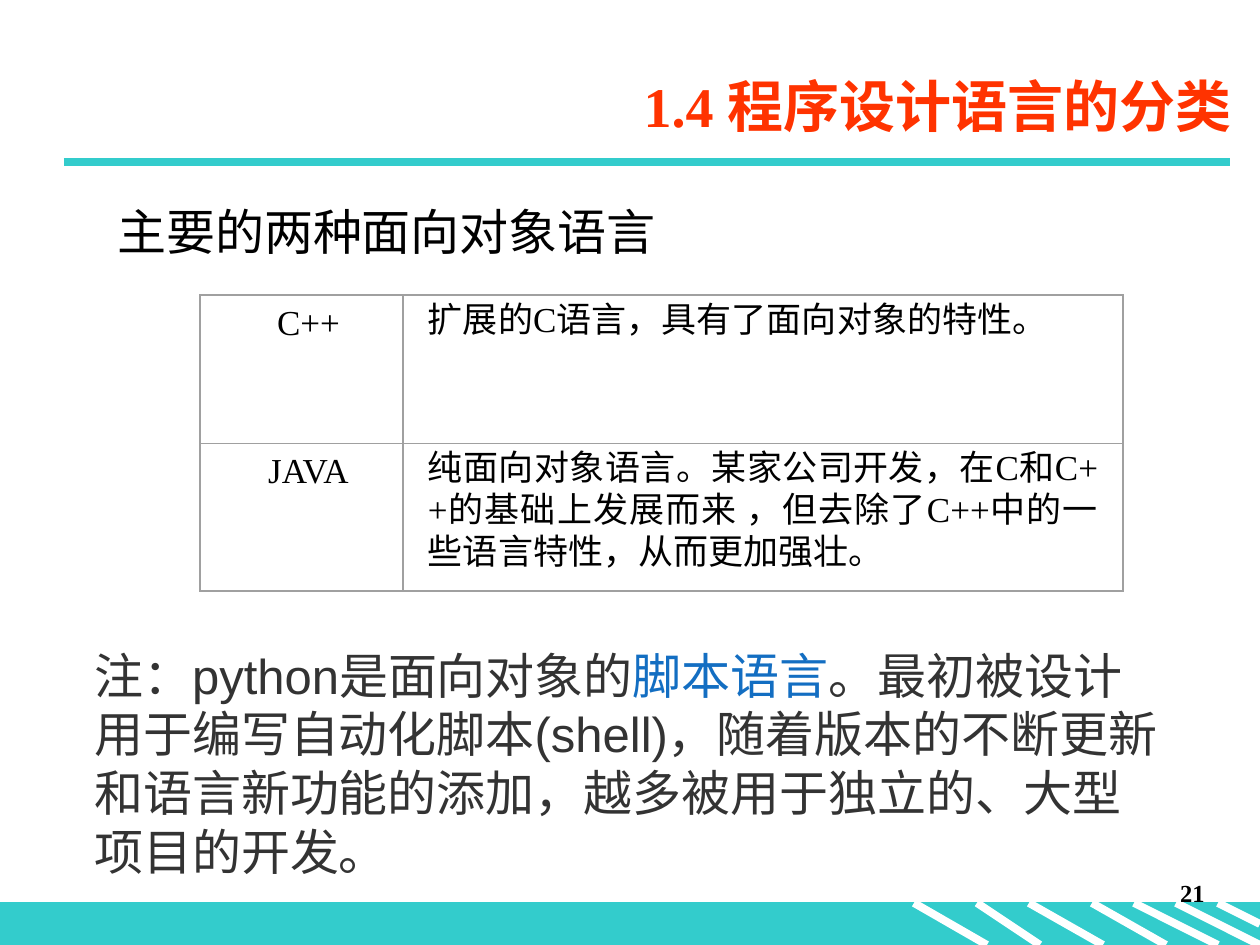
"""Build the slide on the two main object-oriented languages."""
from lxml.etree import SubElement
from pptx import Presentation
from pptx.dml.color import RGBColor
from pptx.enum.shapes import MSO_CONNECTOR as Connector, MSO_SHAPE as Shape
from pptx.enum.text import MSO_ANCHOR as Anchor, MSO_AUTO_SIZE as AutoSize, PP_ALIGN as Align
from pptx.oxml import parse_xml
from pptx.oxml.ns import nsdecls, qn
from pptx.util import Emu, Pt

SCALE = 914400 // 126
LATIN, SANS, CHINESE = "Times New Roman", "Arial", "Noto Sans CJK SC"
BLACK = RGBColor(0x00, 0x00, 0x00)
WHITE = RGBColor(0xFF, 0xFF, 0xFF)
TEAL = RGBColor(0x33, 0xCC, 0xCC)
ORANGE = RGBColor(0xFF, 0x33, 0x00)
DARK = RGBColor(0x33, 0x33, 0x33)
BLUE = RGBColor(0x13, 0x6E, 0xC2)
GRAY = RGBColor(0xA0, 0xA0, 0xA0)

TITLE = "1.4 程序设计语言的分类"
HEADING = "主要的两种面向对象语言"
LANGUAGES = [
    ("C++", "扩展的C语言，具有了面向对象的特性。"),
    ("JAVA", "纯面向对象语言。某家公司开发，在C和C++的基础上发展而来 ，"
             "但去除了C++中的一些语言特性，从而更加强壮。"),
]
NOTE = [
    ("注：python是面向对象的", DARK),
    ("脚本语言", BLUE),
    ("。最初被设计用于编写自动化脚本(shell)，随着版本的不断更新和语言新功能的添加，"
     "越多被用于独立的、大型项目的开发。", DARK),
]
STRIPES = [(914, 987, 945), (977, 1040, 945), (1029, 1103, 945), (1092, 1166, 945),
           (1134, 1218, 945), (1176, 1260, 945), (1218, 1260, 924)]


def px(value):
    return Emu(value * SCALE)


def write(paragraph, text, size=20, color=BLACK, font=LATIN, bold=False, align=Align.LEFT):
    """Append a formatted run to a paragraph."""
    paragraph.alignment = align
    paragraph.line_spacing = Pt(round(size * 1.2, 1))
    run = paragraph.add_run()
    run.text = text
    run.font.size, run.font.bold, run.font.name = Pt(size), bold, font
    run.font.color.rgb = color
    SubElement(run.font._element, qn("a:ea"), typeface=CHINESE)


class SlideBuilder:
    """Hold the current slide and the style of its elements."""

    def __init__(self, slide, accent=TEAL, border=GRAY):
        self.slide, self.accent, self.border = slide, accent, border

    def title(self, left, top, width, height, text):
        shape = self.slide.shapes.title
        shape.left, shape.top, shape.width, shape.height = map(px, (left, top, width, height))
        frame = shape.text_frame
        frame.auto_size, frame.vertical_anchor = AutoSize.NONE, Anchor.MIDDLE
        write(frame.paragraphs[0], text, size=32, color=ORANGE, bold=True, align=Align.RIGHT)

    def text(self, left, top, width, height, runs, **style):
        frame = self.slide.shapes.add_textbox(*map(px, (left, top, width, height))).text_frame
        frame.word_wrap = True
        for text, color in runs:
            write(frame.paragraphs[0], text, color=color, **style)

    def band(self, left, top, width, height):
        shape = self.slide.shapes.add_shape(Shape.RECTANGLE, *map(px, (left, top, width, height)))
        shape.shadow.inherit = False
        shape.fill.solid()
        shape.fill.fore_color.rgb = self.accent
        shape.line.color.rgb = self.accent
        shape.line.width = Pt(0.75)

    def line(self, x1, y1, x2, y2, color):
        line = self.slide.shapes.add_connector(Connector.STRAIGHT, *map(px, (x1, y1, x2, y2)))
        line.line.color.rgb = color
        line.line.width = Pt(4.5)
        SubElement(line._element.spPr, qn("a:effectLst"))

    def table(self, left, top, widths, row_height, rows):
        table = self.slide.shapes.add_table(
            len(rows), len(widths), px(left), px(top),
            px(sum(widths)), px(row_height * len(rows))).table
        table.first_row = table.horz_banding = False
        for column, width in zip(table.columns, widths):
            column.width = px(width)
        for index, (row, texts) in enumerate(zip(table.rows, rows)):
            row.height = px(row_height)
            top_width = 0.5 if index else 1
            bottom_width = 1 if index == len(rows) - 1 else 0.5
            name, description = row.cells
            self.cell(name, texts[0], 11, Align.CENTER, top_width, bottom_width)
            self.cell(description, texts[1], 25, Align.JUSTIFY, top_width, bottom_width)

    def cell(self, cell, text, right, align, top_width, bottom_width):
        cell.fill.background()
        cell.margin_left, cell.margin_right = px(25), px(right)
        cell.margin_top = cell.margin_bottom = px(6)
        write(cell.text_frame.paragraphs[0], text, align=align)
        properties = cell._tc.get_or_add_tcPr()
        sides = [("L", 1), ("R", 1), ("T", top_width), ("B", bottom_width)]
        for index, (side, width) in enumerate(sides):
            properties.insert(index, parse_xml(
                f'<a:ln{side} {nsdecls("a")} w="{Pt(width)}"><a:solidFill>'
                f'<a:srgbClr val="{self.border}"/></a:solidFill></a:ln{side}>'))


def main():
    presentation = Presentation()
    presentation.slide_width, presentation.slide_height = px(1260), px(945)
    builder = SlideBuilder(presentation.slides.add_slide(presentation.slide_layouts[5]))
    builder.band(0, 903, 1260, 42)
    for start, end, bottom in STRIPES:
        builder.line(start, 903, end, bottom, WHITE)
    builder.line(64, 162, 1230, 162, TEAL)
    builder.text(955, 872, 262, 63, [("21", BLACK)], size=14, bold=True, align=Align.RIGHT)
    builder.title(174, 55, 1071, 100, TITLE)
    builder.text(105, 195, 605, 72, [(HEADING, BLACK)], size=28)
    builder.table(200, 295, [203, 720], 148, LANGUAGES)
    builder.text(82, 639, 1096, 251, NOTE, size=28, font=SANS)
    presentation.save("out.pptx")


if __name__ == "__main__":
    main()
